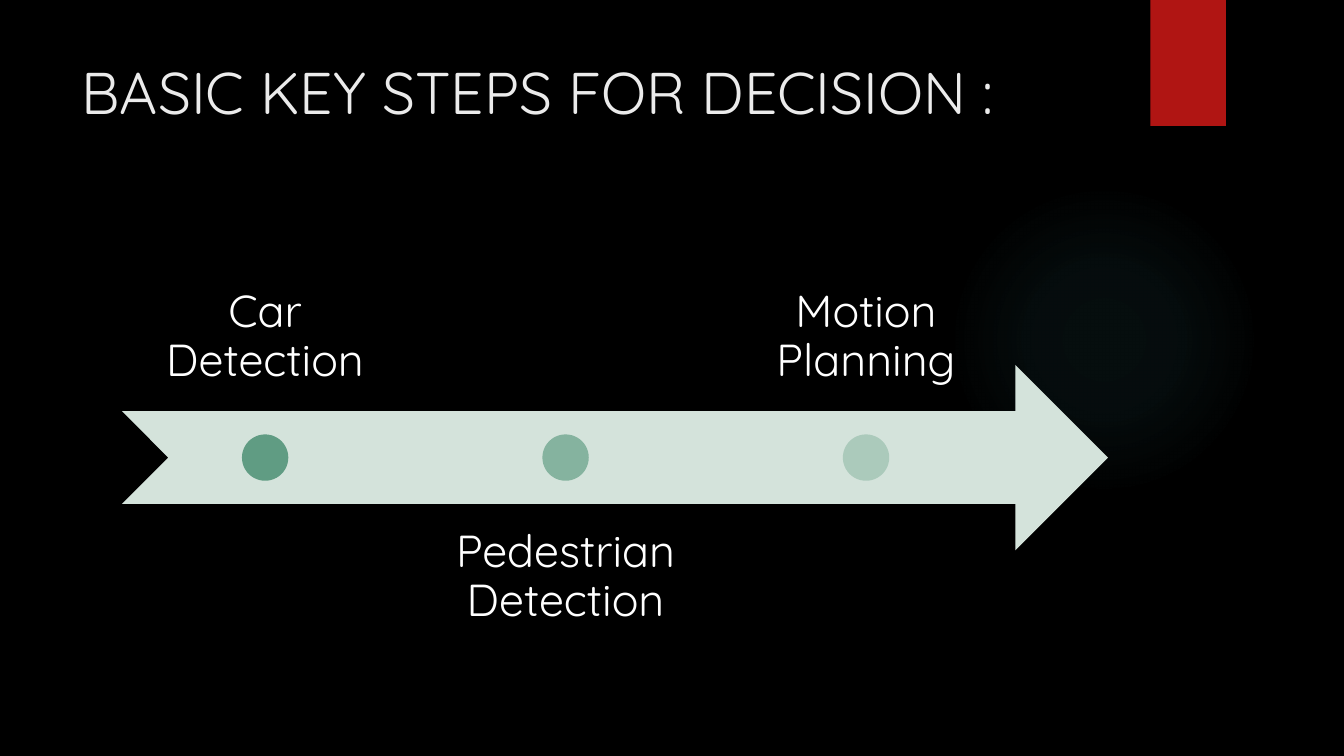
from pptx import Presentation
from pptx.dml.color import RGBColor
from pptx.enum.shapes import MSO_SHAPE as Shape
from pptx.enum.text import MSO_ANCHOR as Anchor, MSO_AUTO_SIZE as AutoSize, PP_ALIGN as Align
from pptx.oxml import parse_xml
from pptx.oxml.ns import nsdecls
from pptx.util import Inches, Pt

FONT = "Quicksand"
ROW = 0.46               # timeline row: one dot high
MIDDLE = 4.54            # centre line of the arrow
LEFT, ARROW_WIDTH = 1.21, 9.78
LABEL_WIDTH, STEP = 2.84, 2.98

STEPS = [
    ("Car Detection", "609C83"),
    ("Pedestrian Detection", "85B39F"),
    ("Motion Planning", "ABCABB"),
]


def color(hex_code):
    return RGBColor.from_string(hex_code)


def add_figure(slide, kind, left, top, width, height, fill):
    figure = slide.shapes.add_shape(
        kind, Inches(left), Inches(top), Inches(width), Inches(height))
    figure.shadow.inherit = False
    figure.line.fill.background()
    figure.fill.solid()
    figure.fill.fore_color.rgb = color(fill)
    return figure


def write(holder, text, size, ink, align=Align.LEFT, anchor=Anchor.TOP,
          margins=(0.1, 0.05), spacing=1.0):
    frame = holder.text_frame
    frame.word_wrap = True
    frame.auto_size = AutoSize.NONE
    frame.vertical_anchor = anchor
    frame.margin_left = frame.margin_right = Inches(margins[0])
    frame.margin_top = frame.margin_bottom = Inches(margins[1])
    frame.text = text
    paragraph = frame.paragraphs[0]
    paragraph.alignment = align
    paragraph.line_spacing = spacing
    paragraph.font.name = FONT
    paragraph.font.size = Pt(size)
    paragraph.font.color.rgb = color(ink)


def add_glow(slide, left, top, size, tint, stops):
    """Circle that fades out from its centre; stops are (position, opacity) in %."""
    glow = add_figure(slide, Shape.OVAL, left, top, size, size, tint)
    stop_xml = "".join(
        f'<a:gs pos="{position * 1000}"><a:srgbClr val="{tint}">'
        f'<a:alpha val="{opacity * 1000}"/></a:srgbClr></a:gs>'
        for position, opacity in stops)
    gradient = parse_xml(
        f'<a:gradFill {nsdecls("a")}><a:gsLst>{stop_xml}</a:gsLst><a:path path="circle">'
        '<a:fillToRect l="50000" t="50000" r="50000" b="50000"/></a:path></a:gradFill>')
    properties = glow.fill._xPr
    properties.replace(properties.solidFill, gradient)


def add_title(slide, text):
    title = slide.shapes.title
    title.left, title.top = Inches(0.71), Inches(0.5)
    title.width, title.height = Inches(10.29), Inches(1.53)
    write(title, text, 42, "EBEBEB")


def add_step(slide, index, text, tint):
    left = LEFT + index * STEP
    above = index % 2 == 0
    label_top = MIDDLE + (-5 if above else 1) * ROW
    label = slide.shapes.add_textbox(
        Inches(left), Inches(label_top), Inches(LABEL_WIDTH), Inches(4 * ROW))
    write(label, text, 32, "FFFFFF", align=Align.CENTER,
          anchor=Anchor.BOTTOM if above else Anchor.TOP,
          margins=(0.25, 0.25), spacing=0.9)
    add_figure(slide, Shape.OVAL, left + (LABEL_WIDTH - ROW) / 2,
               MIDDLE - ROW / 2, ROW, ROW, tint)


def main():
    deck = Presentation()
    deck.slide_width, deck.slide_height = Inches(13.33), Inches(7.5)
    slide = deck.slides.add_slide(deck.slide_layouts[5])

    # Backdrop
    slide.background.fill.solid()
    slide.background.fill.fore_color.rgb = color("000000")
    add_glow(slide, 9.41, 1.83, 3.08, "50B9C1", [(0, 7), (36, 6), (69, 0)])
    add_figure(slide, Shape.RECTANGLE, 11.41, 0, 0.75, 1.25, "B01513")

    # Heading
    add_title(slide, "BASIC KEY STEPS FOR DECISION :")

    # Timeline
    add_figure(slide, Shape.NOTCHED_RIGHT_ARROW, LEFT, MIDDLE - 2 * ROW,
               ARROW_WIDTH, 4 * ROW, "D4E3DB")
    for index, (text, tint) in enumerate(STEPS):
        add_step(slide, index, text, tint)

    deck.save("out.pptx")


if __name__ == "__main__":
    main()
